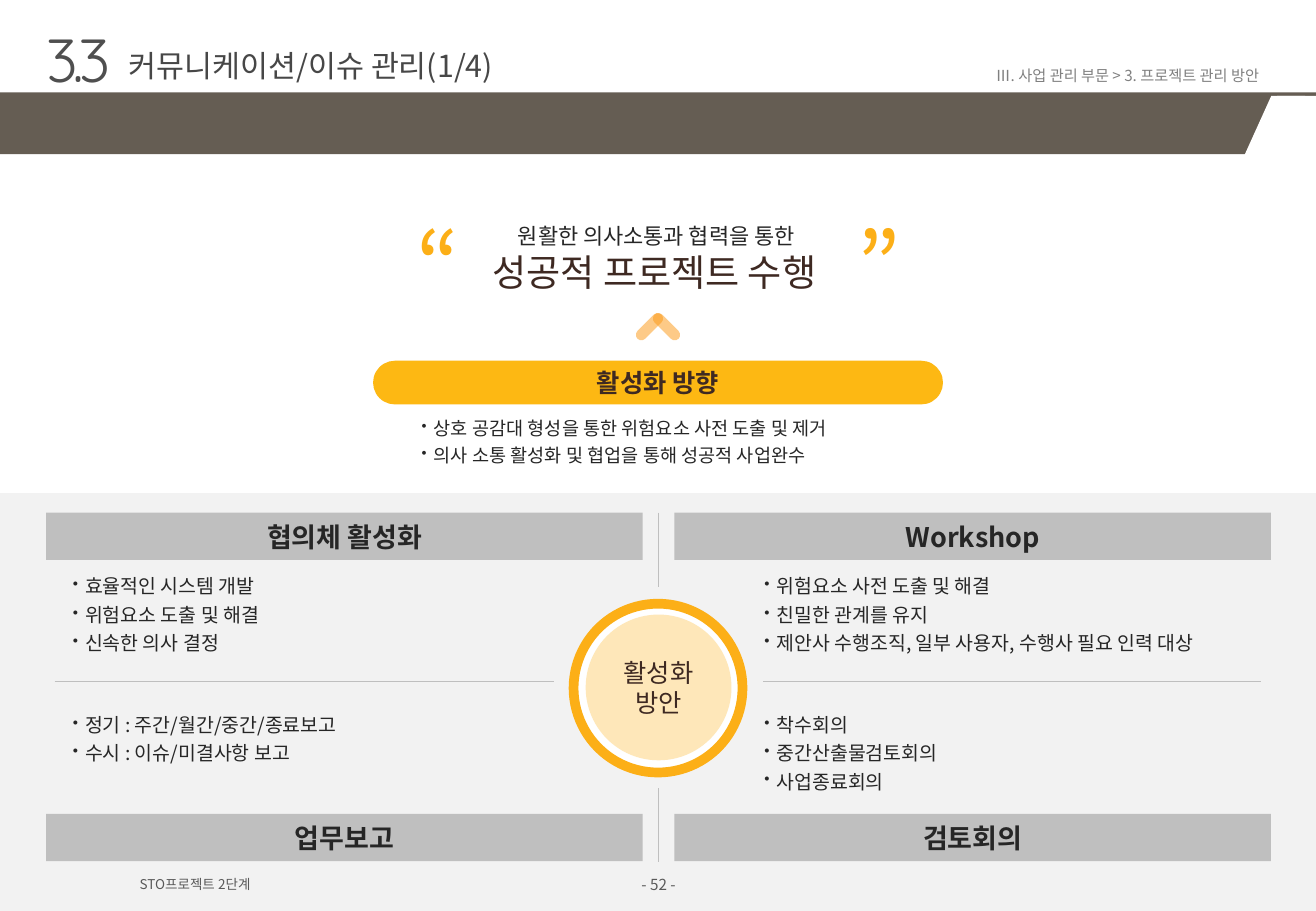
"""Builds the communication and issue management slide."""
from typing import NamedTuple, Optional

from lxml import etree
from pptx import Presentation
from pptx.dml.color import RGBColor
from pptx.enum.shapes import MSO_CONNECTOR, MSO_SHAPE
from pptx.enum.text import MSO_ANCHOR, PP_ALIGN
from pptx.oxml.ns import qn
from pptx.util import Inches, Pt

RECT, ROUND = MSO_SHAPE.RECTANGLE, MSO_SHAPE.ROUNDED_RECTANGLE
OVAL, SLANT = MSO_SHAPE.OVAL, MSO_SHAPE.PARALLELOGRAM
LEFT, CENTER, RIGHT = PP_ALIGN.LEFT, PP_ALIGN.CENTER, PP_ALIGN.RIGHT
TOP, MIDDLE = MSO_ANCHOR.TOP, MSO_ANCHOR.MIDDLE
STRAIGHT = MSO_CONNECTOR.STRAIGHT

FONT = "Noto Sans CJK KR"
WHITE, INK, BROWN, GRAY, FOOT = "FFFFFF", "262626", "3E2922", "BFBFBF", "595959"
ORANGE, AMBER = "FCAF17", "FDB813"
LIST_INSET = (0, 0.04, 0, 0.04)


class Box(NamedTuple):
    x: float
    y: float
    w: float
    h: float


class Run(NamedTuple):
    text: str
    size: float
    color: str


class Heading(NamedTuple):
    text: str
    x: float
    y: float


class Bullets(NamedTuple):
    box: Box
    size: float
    items: list[str]


class Line(NamedTuple):
    x1: float
    y1: float
    x2: float
    y2: float


HEADINGS = [
    Heading("협의체 활성화", 0.38, 4.22),
    Heading("업무보고", 0.38, 6.7),
    Heading("Workshop", 5.55, 4.22),
    Heading("검토회의", 5.55, 6.7),
]
LISTS = [
    Bullets(Box(3.47, 3.39, 3.89, 0.49), 11,
            ["상호 공감대 형성을 통한 위험요소 사전 도출 및 제거",
             "의사 소통 활성화 및 협업을 통해 성공적 사업완수"]),
    Bullets(Box(0.6, 4.69, 4.77, 0.74), 11.5,
            ["효율적인 시스템 개발", "위험요소 도출 및 해결", "신속한 의사 결정"]),
    Bullets(Box(0.6, 5.83, 4.77, 0.51), 11.5,
            ["정기 : 주간/월간/중간/종료보고", "수시 : 이슈/미결사항 보고"]),
    Bullets(Box(6.29, 4.69, 4.08, 0.74), 11.5,
            ["위험요소 사전 도출 및 해결", "친밀한 관계를 유지",
             "제안사 수행조직, 일부 사용자, 수행사 필요 인력 대상"]),
    Bullets(Box(6.29, 5.83, 4.08, 0.74), 11.5,
            ["착수회의", "중간산출물검토회의", "사업종료회의"]),
]
LINES = [
    Line(0.45, 5.61, 4.56, 5.61),
    Line(6.28, 5.61, 10.38, 5.61),
    Line(5.42, 6.49, 5.42, 7.1),
    Line(5.42, 4.22, 5.42, 4.83),
]


def rgb(color: str) -> RGBColor:
    return RGBColor.from_string(color)


def add_box(s, kind, box: Box, color: str, adj: Optional[float] = None,
            line: Optional[str] = None, width: float = 1, rotation: float = 0,
            alpha: Optional[int] = None):
    sp = s.shapes.add_shape(kind, *map(Inches, box))
    sp.shadow.inherit = False
    sp.rotation = rotation
    if adj is not None:
        sp.adjustments[0] = adj
    sp.fill.solid()
    sp.fill.fore_color.rgb = rgb(color)
    if alpha is not None:
        clr = next(sp._element.spPr.iter(qn("a:srgbClr")))
        etree.SubElement(clr, qn("a:alpha"), val=str(alpha * 1000))
    if line:
        sp.line.color.rgb = rgb(line)
        sp.line.width = Pt(width)
    else:
        sp.line.fill.background()
    return sp


def add_bullet(p) -> None:
    p.space_after = Pt(3)
    pPr = p._p.get_or_add_pPr()
    pPr.set("marL", str(Inches(0.1)))
    pPr.set("indent", str(Inches(-0.1)))
    clr = etree.SubElement(pPr, qn("a:buClr"))
    etree.SubElement(clr, qn("a:srgbClr"), val=INK)
    etree.SubElement(pPr, qn("a:buSzPct"), val="80000")
    etree.SubElement(pPr, qn("a:buChar"), char="•")


def write(sp, paragraphs: list[list[Run]], align=LEFT, anchor=TOP, font: str = FONT,
          bold: bool = False, wrap: bool = True, inset=(0, 0, 0, 0),
          bullet: bool = False, spacing: Optional[float] = None,
          tracking: Optional[int] = None) -> None:
    tf = sp.text_frame
    tf.word_wrap, tf.vertical_anchor = wrap, anchor
    tf.margin_left, tf.margin_top, tf.margin_right, tf.margin_bottom = map(Inches, inset)
    for i, runs in enumerate(paragraphs):
        p = tf.paragraphs[0] if i == 0 else tf.add_paragraph()
        p.alignment = align
        if spacing:
            p.line_spacing = spacing
        if bullet:
            add_bullet(p)
        for j, run in enumerate(runs):
            if j:
                p.add_line_break()
            r = p.add_run()
            r.text = run.text
            r.font.size, r.font.bold, r.font.name = Pt(run.size), bold, font
            r.font.color.rgb = rgb(run.color)
            rPr = r._r.get_or_add_rPr()
            etree.SubElement(rPr, qn("a:ea"), typeface=font)
            if tracking is not None:
                rPr.set("spc", str(tracking))


def add_text(s, box: Box, paragraphs: list[list[Run]], **fmt) -> None:
    write(s.shapes.add_textbox(*map(Inches, box)), paragraphs, **fmt)


def add_line(s, line: Line) -> None:
    c = s.shapes.add_connector(STRAIGHT, *map(Inches, line))
    c.line.color.rgb = rgb(GRAY)
    c.line.width = Pt(0.5)
    etree.SubElement(c._element.spPr, qn("a:effectLst"))


def add_header(s) -> None:
    add_box(s, RECT, Box(0, 0.76, 10.83, 0.51), "655D53")
    add_box(s, SLANT, Box(10.24, 0.79, 0.5, 0.49), WHITE, adj=0.453)
    add_box(s, RECT, Box(10.51, 0.79, 0.32, 0.49), WHITE)
    add_text(s, Box(6.97, 0.5, 3.48, 0.24),
             [[Run("Ⅲ. 사업 관리 부문 > 3. 프로젝트 관리 방안", 9, "808080")]],
             align=RIGHT, inset=(0.09, 0.05, 0.09, 0.05))
    add_text(s, Box(1.06, 0.39, 3.6, 0.34),
             [[Run("커뮤니케이션/이슈 관리(1/4)", 18, "474747")]])
    add_text(s, Box(0.38, 0.27, 1.05, 0.42), [[Run("3.3", 36, "4F4F4F")]],
             anchor=MIDDLE, font="Quicksand", wrap=False, tracking=-300)


def add_goal(s) -> None:
    add_text(s, Box(2.99, 1.74, 4.86, 0.77),
             [[Run("원활한 의사소통과 협력을 통한 ", 13, INK),
               Run("성공적 프로젝트 수행 ", 22, BROWN)]],
             align=CENTER, anchor=MIDDLE, wrap=False)
    for mark, x in (("”", 6.96), ("“", 3.33)):
        add_text(s, Box(x, 1.49, 0.54, 0.42), [[Run(mark, 54, ORANGE)]], align=CENTER,
                 wrap=False, spacing=1.2, inset=(0.1, 0.05, 0.1, 0.05))
    for x, rotation in ((5.3, 45), (5.44, 135)):
        add_box(s, ROUND, Box(x, 2.55, 0.09, 0.28), "FC9710", adj=0.5,
                rotation=rotation, alpha=50)
    sp = add_box(s, ROUND, Box(3.07, 2.97, 4.69, 0.36), AMBER, adj=0.5)
    write(sp, [[Run("활성화 방향", 15, BROWN)]], align=CENTER, anchor=MIDDLE, bold=True)


def main() -> None:
    prs = Presentation()
    prs.slide_width, prs.slide_height = Inches(10.83), Inches(7.5)
    s = prs.slides.add_slide(prs.slide_layouts[6])
    add_header(s)
    add_box(s, RECT, Box(0, 4.06, 10.83, 3.44), "F2F2F2")
    for h in HEADINGS:
        sp = add_box(s, RECT, Box(h.x, h.y, 4.91, 0.39), GRAY)
        write(sp, [[Run(h.text, 16, INK)]], align=CENTER, anchor=MIDDLE, bold=True, wrap=False)
    add_goal(s)
    add_box(s, OVAL, Box(4.72, 4.97, 1.39, 1.39), WHITE, line=ORANGE, width=5.75)
    sp = add_box(s, OVAL, Box(4.82, 5.06, 1.2, 1.2), "FEE7B9")
    write(sp, [[Run("활성화", 15, BROWN), Run("방안", 15, BROWN)]], align=CENTER, anchor=MIDDLE)
    for b in LISTS:
        add_text(s, b.box, [[Run(item, b.size, INK)] for item in b.items],
                 inset=LIST_INSET, bullet=True)
    for line in LINES:
        add_line(s, line)
    add_text(s, Box(1.05, 7.16, 2.42, 0.24), [[Run("STO프로젝트 2단계", 8, FOOT)]],
             inset=(0.1, 0.05, 0.1, 0.05))
    add_text(s, Box(5.16, 7.21, 0.52, 0.15), [[Run("- 52 -", 9, FOOT)]],
             align=CENTER, anchor=MIDDLE)
    prs.save("out.pptx")


if __name__ == "__main__":
    main()
